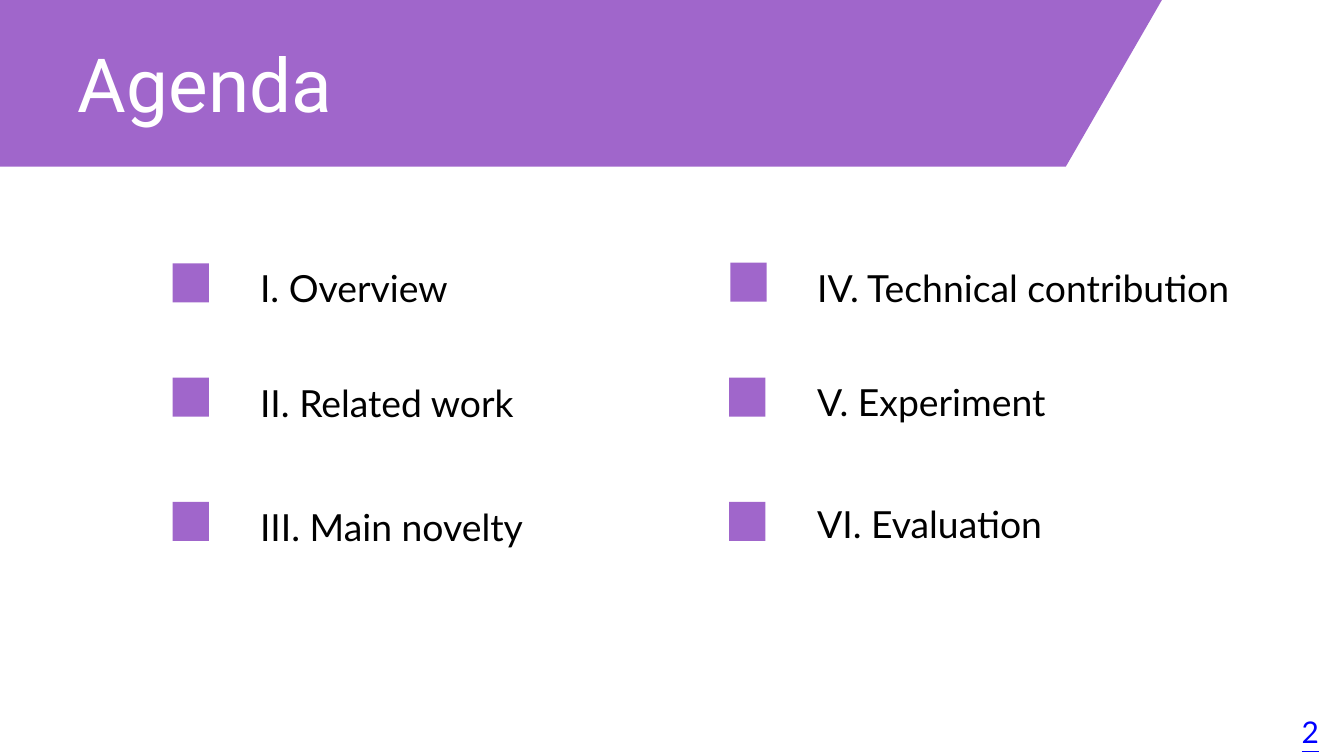
"""Build the agenda slide with a purple banner and two columns of topics."""
from dataclasses import dataclass

from pptx import Presentation
from pptx import util as u
from pptx.dml.color import RGBColor
from pptx.enum import shapes, text


@dataclass(frozen=True)
class Theme:
    """Colours, fonts and type sizes of the deck."""
    purple: RGBColor = RGBColor(0xA0, 0x66, 0xCB)
    white: RGBColor = RGBColor(0xFF, 0xFF, 0xFF)
    black: RGBColor = RGBColor(0, 0, 0)
    blue: RGBColor = RGBColor(0, 0, 0xFF)
    title_font: str = "Roboto"
    body_font: str = "Lato"
    title_size: int = 80
    body_size: int = 40
    number_size: int = 32
    title_leading: int = 88
    body_leading: int = 56


@dataclass(frozen=True)
class Topic:
    """One agenda entry with the places of its marker and label."""
    label: str
    marker_left: float
    marker_top: float
    label_left: float
    label_top: float
    label_width: float = 6.5


THEME = Theme()
BANNER = [(15.86, -7.96), (-0.16, -7.96), (-3.18, -2.74),
          (-0.16, 2.48), (15.86, 2.48), (18.87, -2.74)]
TOPICS = [
    Topic("I. Overview", 2.57, 3.92, 3.87, 3.83, 6.25),
    Topic("II. Related work", 2.57, 5.62, 3.87, 5.55),
    Topic("III. Main novelty", 2.57, 7.47, 3.87, 7.39),
    Topic("IV. Technical contribution", 10.87, 3.91, 12.16, 3.83),
    Topic("V. Experiment", 10.85, 5.62, 12.16, 5.53),
    Topic("VI. Evaluation", 10.85, 7.47, 12.16, 7.35),
]


def apply(target, values: dict) -> None:
    """Set every named attribute on the target."""
    for name, value in values.items():
        setattr(target, name, value)


def paint(shape, colour: RGBColor) -> None:
    """Give a shape a flat fill without line or shadow."""
    shape.shadow.inherit = False
    shape.fill.solid()
    shape.fill.fore_color.rgb = colour
    shape.line.fill.background()


def write(box, words: str, colour: RGBColor, leading: int, font: dict,
          alignment=text.PP_ALIGN.LEFT) -> None:
    """Put one formatted line into a box without insets."""
    frame = box.text_frame
    apply(frame, {
        "margin_left": 0, "margin_top": 0, "margin_right": 0, "margin_bottom": 0,
        "word_wrap": True,
        "vertical_anchor": text.MSO_ANCHOR.TOP,
        "auto_size": text.MSO_AUTO_SIZE.SHAPE_TO_FIT_TEXT,
    })
    para = frame.paragraphs[0]
    apply(para, {"alignment": alignment, "line_spacing": u.Pt(leading)})
    span = para.add_run()
    span.text = words
    apply(span.font, font)
    span.font.color.rgb = colour


def draw_banner(page) -> None:
    """Draw the slanted banner behind the title."""
    start, *rest = [(u.Inches(x), u.Inches(y)) for x, y in BANNER]
    builder = page.shapes.build_freeform(*start)
    builder.add_line_segments(rest, close=True)
    banner = builder.convert_to_shape()
    paint(banner, THEME.purple)
    page.shapes.title.element.addprevious(banner.element)


def draw_title(page) -> None:
    """Place and fill the title placeholder."""
    title = page.shapes.title
    apply(title, {"left": u.Inches(1.16), "top": u.Inches(0.67),
                  "width": u.Inches(6.86), "height": u.Inches(1.25)})
    write(title, "Agenda", THEME.white, THEME.title_leading,
          {"name": THEME.title_font, "size": u.Pt(THEME.title_size)})


def draw_topic(page, topic: Topic) -> None:
    """Draw a square marker and its label."""
    marker = page.shapes.add_shape(
        shapes.MSO_SHAPE.RECTANGLE, u.Inches(topic.marker_left),
        u.Inches(topic.marker_top), u.Inches(0.54), u.Inches(0.58))
    paint(marker, THEME.purple)
    box = page.shapes.add_textbox(
        u.Inches(topic.label_left), u.Inches(topic.label_top),
        u.Inches(topic.label_width), u.Inches(0.74))
    write(box, topic.label, THEME.black, THEME.body_leading,
          {"name": THEME.body_font, "size": u.Pt(THEME.body_size)})


def draw_number(page) -> None:
    """Write the underlined page number in the corner."""
    box = page.shapes.add_textbox(
        u.Inches(19), u.Inches(10.38), u.Inches(1), u.Inches(0.71))
    write(box, "2", THEME.blue, THEME.body_leading,
          {"name": THEME.body_font, "size": u.Pt(THEME.number_size),
           "underline": True}, text.PP_ALIGN.CENTER)


def main() -> None:
    """Assemble and save the deck."""
    deck = Presentation()
    apply(deck, {"slide_width": u.Inches(20), "slide_height": u.Inches(11.25)})
    page = deck.slides.add_slide(deck.slide_layouts.get_by_name("Title Only"))
    draw_banner(page)
    draw_title(page)
    for topic in TOPICS:
        draw_topic(page, topic)
    draw_number(page)
    deck.save("out.pptx")


if __name__ == "__main__":
    main()
